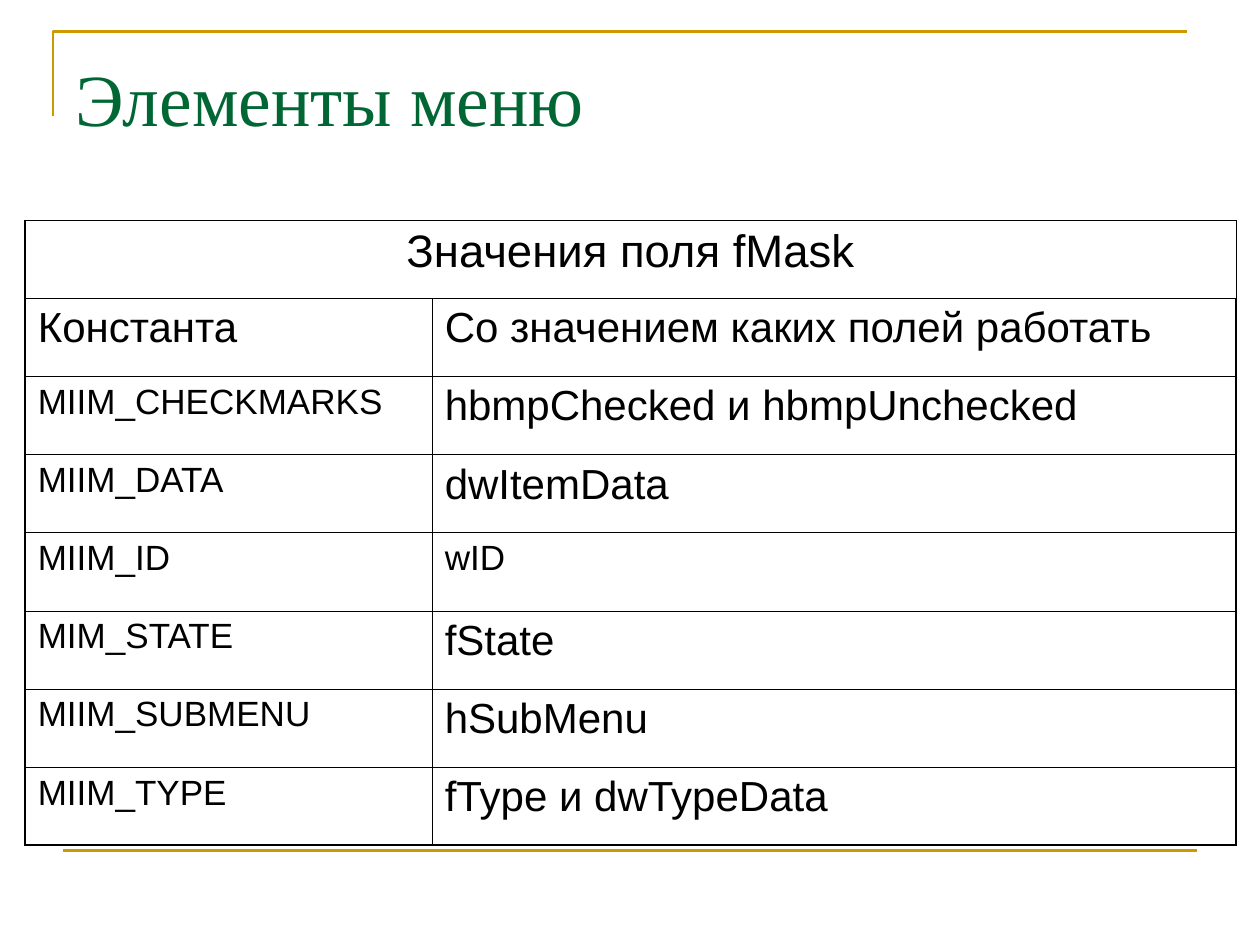
from lxml import etree
from pptx import Presentation
from pptx.dml.color import RGBColor
from pptx.enum.shapes import MSO_CONNECTOR
from pptx.enum.text import MSO_ANCHOR, PP_ALIGN
from pptx.oxml.ns import qn
from pptx.util import Inches, Pt

STRAIGHT = MSO_CONNECTOR.STRAIGHT
TOP = MSO_ANCHOR.TOP
LEFT, CENTER = PP_ALIGN.LEFT, PP_ALIGN.CENTER

GOLD, GREEN, BLACK = "CC9900", "006633", "000000"
THIN, THICK = 0.45, 1.08
COLUMN_WIDTHS = (3.23, 6.38)
ROW_HEIGHT = 0.62
HEADING = "Значения поля fMask"
ROWS = (
    (("Константа", 24), ("Со значением каких полей работать", 24)),
    (("MIIM_CHECKMARKS", 20), ("hbmpChecked и hbmpUnchecked", 24)),
    (("MIIM_DATA", 20), ("dwItemData", 24)),
    (("MIIM_ID", 20), ("wID", 20)),
    (("MIM_STATE", 20), ("fState", 24)),
    (("MIIM_SUBMENU", 20), ("hSubMenu", 24)),
    (("MIIM_TYPE", 20), ("fType и dwTypeData", 24)),
)


def color(value):
    """Turn a hex string into a colour."""
    return RGBColor.from_string(value)


def style_line(shape):
    """Give a rule its gold line."""
    shape.line.color.rgb = color(GOLD)
    shape.line.width = Pt(1.5)


def add_corner(slide):
    """Draw the open corner around the title."""
    builder = slide.shapes.build_freeform(Inches(0.42), Inches(0.92))
    points = [(Inches(0.42), Inches(0.25)), (Inches(9.42), Inches(0.25))]
    builder.add_line_segments(points, close=False)
    corner = builder.convert_to_shape()
    corner.shadow.inherit = False
    corner.fill.background()
    style_line(corner)


def add_bottom_rule(slide):
    """Draw the rule at the foot of the slide."""
    rule = slide.shapes.add_connector(
        STRAIGHT, Inches(0.5), Inches(6.75), Inches(9.5), Inches(6.75))
    style_line(rule)
    etree.SubElement(rule._element.spPr, qn("a:effectLst"))


def write_text(frame, text, size, font, text_color, alignment=LEFT):
    """Write one run into the first paragraph of a frame."""
    paragraph = frame.paragraphs[0]
    paragraph.alignment = alignment
    run = paragraph.add_run()
    run.text = text
    run.font.size = Pt(size)
    run.font.name = font
    run.font.color.rgb = color(text_color)
    return paragraph


def add_title(slide, text):
    """Add the slide title."""
    box = slide.shapes.add_textbox(
        Inches(0.5), Inches(0.3), Inches(9), Inches(1.25))
    frame = box.text_frame
    frame.word_wrap = True
    frame.vertical_anchor = TOP
    frame.margin_top = Inches(0.12)
    write_text(frame, text, 42, "Times New Roman", GREEN)


def set_borders(cell, widths):
    """Draw the left, right, top and bottom borders of a cell."""
    properties = cell._tc.get_or_add_tcPr()
    for index, (side, width) in enumerate(zip("LRTB", widths)):
        line = etree.Element(qn(f"a:ln{side}"), w=str(Pt(width)))
        fill = etree.SubElement(line, qn("a:solidFill"))
        etree.SubElement(fill, qn("a:srgbClr"), val=BLACK)
        properties.insert(index, line)


def fill_cell(cell, text, size, alignment=LEFT):
    """Write the text of a cell."""
    paragraph = write_text(
        cell.text_frame, text, size, "Arial", BLACK, alignment)
    paragraph.space_before = Pt(size / 4)


def add_mask_table(slide):
    """Add the table of mask constants."""
    row_count = len(ROWS) + 1
    frame = slide.shapes.add_table(
        row_count, 2, Inches(0.2), Inches(1.75),
        Inches(sum(COLUMN_WIDTHS)), Inches(ROW_HEIGHT * row_count))
    table = frame.table
    table.first_row = False
    table.horz_banding = False
    for column, width in zip(table.columns, COLUMN_WIDTHS):
        column.width = Inches(width)
    for row_index, row in enumerate(table.rows):
        row.height = Inches(ROW_HEIGHT)
        for column_index, cell in enumerate(row.cells):
            cell.fill.background()
            edges = (column_index == 0, column_index == 1,
                     row_index == 0, row_index == row_count - 1)
            set_borders(cell, [THICK if edge else THIN for edge in edges])
    heading = table.cell(0, 0)
    heading.merge(table.cell(0, 1))
    fill_cell(heading, HEADING, 26, CENTER)
    for row_index, entries in enumerate(ROWS, start=1):
        for column_index, (text, size) in enumerate(entries):
            fill_cell(table.cell(row_index, column_index), text, size)


def main():
    """Build and save the presentation."""
    presentation = Presentation()
    presentation.slide_width = Inches(10)
    presentation.slide_height = Inches(7.5)
    slide = presentation.slides.add_slide(presentation.slide_layouts[6])
    add_corner(slide)
    add_bottom_rule(slide)
    add_title(slide, "Элементы меню")
    add_mask_table(slide)
    presentation.save("out.pptx")


if __name__ == "__main__":
    main()
